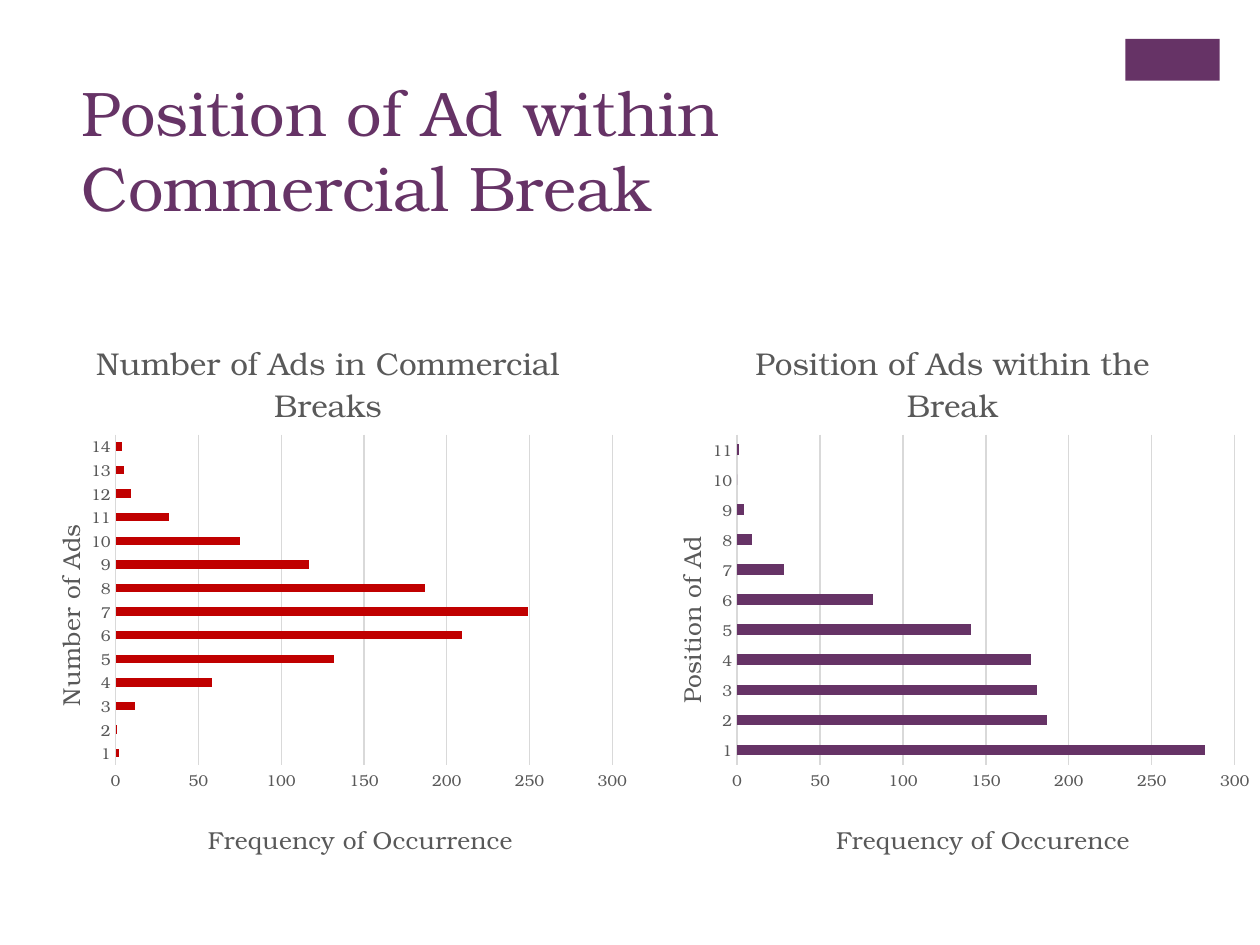
import pptx
import pptx.chart.data
import pptx.dml.color
import pptx.enum.chart
import pptx.enum.shapes
import pptx.enum.text
import pptx.oxml
import pptx.oxml.ns
import pptx.util

Pt = pptx.util.Pt
FONT = "TeX Gyre Bonum"
COLORS = {"plum": "663366", "red": "C00000", "grey": "595959", "rule": "D9D9D9"}


class AdSlide:
    """Holds the deck style and the slide being built."""

    def __init__(self, deck):
        self.slide = deck.slides.add_slide(deck.slide_layouts[6])

    def color(self, name):
        return pptx.dml.color.RGBColor.from_string(COLORS[name])

    def format(self, target, values):
        for attribute, value in values.items():
            setattr(target, attribute, value)

    def style_font(self, font, size, color):
        self.format(font, {"name": FONT, "size": Pt(size), "bold": False})
        font.color.rgb = self.color(color)

    def style_line(self, line, color):
        line.color.rgb = self.color(color)
        line.width = Pt(0.75)

    def block(self, left, top, width, height, color):
        block = self.slide.shapes.add_shape(
            pptx.enum.shapes.MSO_SHAPE.RECTANGLE, Pt(left), Pt(top), Pt(width), Pt(height))
        block.shadow.inherit = False
        block.fill.solid()
        block.fill.fore_color.rgb = self.color(color)
        block.line.fill.background()

    def heading(self, text, left, top, width, height):
        frame = self.slide.shapes.add_textbox(Pt(left), Pt(top), Pt(width), Pt(height)).text_frame
        self.format(frame, {"word_wrap": True, "vertical_anchor": pptx.enum.text.MSO_ANCHOR.TOP})
        run = frame.paragraphs[0].add_run()
        run.text = text
        self.style_font(run.font, 36, "plum")

    def place(self, element, index, **fractions):
        qn = pptx.oxml.ns.qn
        for old in element.findall(qn("c:layout")):
            element.remove(old)
        modes = '<c:layoutTarget val="inner"/>' if "w" in fractions else ""
        modes += '<c:xMode val="edge"/><c:yMode val="edge"/>'
        sizes = "".join(f'<c:{key} val="{value}"/>' for key, value in fractions.items())
        element.insert(index, pptx.oxml.parse_xml(
            f'<c:layout {pptx.oxml.ns.nsdecls("c")}><c:manualLayout>{modes}{sizes}'
            "</c:manualLayout></c:layout>"))

    def title(self, title, text, size, x, y, rotation=0):
        frame = title.text_frame
        run = frame.paragraphs[0].add_run()
        run.text = text
        self.style_font(run.font, size, "grey")
        frame._txBody.bodyPr.set("rot", str(rotation * 60000))
        self.place(title.element, 1, x=x, y=y)

    def bar_chart(self, left, width, counts, color, heading, category, frequency):
        data = pptx.chart.data.CategoryChartData()
        data.categories = [str(number) for number in range(1, len(counts) + 1)]
        data.add_series("Series 1", counts)
        chart = self.slide.shapes.add_chart(
            pptx.enum.chart.XL_CHART_TYPE.BAR_CLUSTERED,
            Pt(left), Pt(173.5), Pt(width), Pt(325.5), data).chart
        self.format(chart, {"has_legend": False, "has_title": True})
        self.style_font(chart.font, 10, "grey")
        plot = chart.plots[0]
        self.format(plot, {"gap_width": 182, "vary_by_categories": False})
        bars = plot.series[0].format.fill
        bars.solid()
        bars.fore_color.rgb = self.color(color)
        no_tick = pptx.enum.chart.XL_TICK_MARK.NONE
        for axis in (chart.category_axis, chart.value_axis):
            self.format(axis, {"major_tick_mark": no_tick, "minor_tick_mark": no_tick})
            self.style_font(axis.tick_labels.font, 9, "grey")
        self.style_line(chart.category_axis.format.line, "rule")
        self.format(chart.value_axis, {"minimum_scale": 0, "maximum_scale": 300,
                                       "major_unit": 50, "has_major_gridlines": True})
        chart.value_axis.format.line.fill.background()
        self.style_line(chart.value_axis.major_gridlines.format.line, "rule")
        self.title(chart.chart_title, *heading)
        self.title(chart.category_axis.axis_title, *category)
        self.title(chart.value_axis.axis_title, *frequency)
        plot_area = chart.element.find(".//" + pptx.oxml.ns.qn("c:plotArea"))
        self.place(plot_area, 0, x=0.17, y=0.23, w=0.79, h=0.58)


def main():
    deck = pptx.Presentation()
    deck.slide_width, deck.slide_height = Pt(720), Pt(540)
    page = AdSlide(deck)
    page.block(643, 22.3, 54, 23.8, "plum")
    page.bar_chart(
        360, 360, [282, 187, 181, 177, 141, 82, 28, 9, 4, 0, 1], "plum",
        ("Position of Ads within the Break", 18, 0.19, 0.05),
        ("Position of Ad", 14, 0.06, 0.4, -90),
        ("Frequency of Occurence", 14, 0.32, 0.9))
    page.bar_chart(
        5, 359.3, [2, 1, 12, 58, 132, 209, 249, 187, 117, 75, 32, 9, 5, 4], "red",
        ("Number of Ads in Commercial Breaks", 18, 0.13, 0.05),
        ("Number of Ads", 14, 0.06, 0.38, -90),
        ("Frequency of Occurrence", 14, 0.31, 0.9))
    page.heading("Position of Ad within Commercial Break", 39.6, 38.2, 594.7, 87.8)
    deck.save("out.pptx")


if __name__ == "__main__":
    main()
